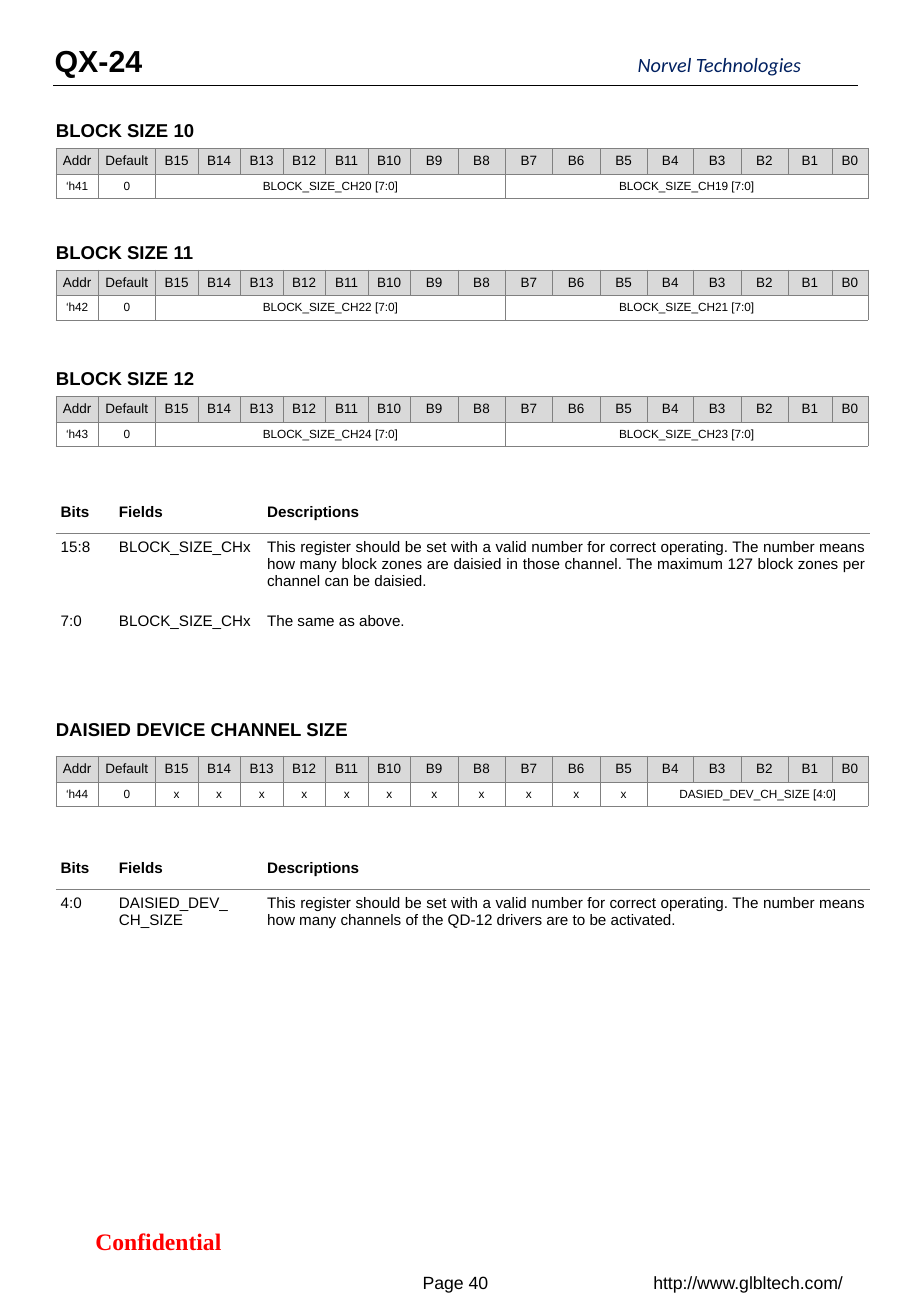
from lxml import etree
from pptx import Presentation
from pptx.dml.color import RGBColor
from pptx.enum.shapes import MSO_CONNECTOR
from pptx.enum.text import MSO_ANCHOR, MSO_AUTO_SIZE, PP_ALIGN
from pptx.oxml.ns import qn
from pptx.util import Inches, Pt

LEFT, CENTER, JUSTIFY = PP_ALIGN.LEFT, PP_ALIGN.CENTER, PP_ALIGN.JUSTIFY
TOP, MIDDLE = MSO_ANCHOR.TOP, MSO_ANCHOR.MIDDLE
GROW = MSO_AUTO_SIZE.SHAPE_TO_FIT_TEXT
STRAIGHT = MSO_CONNECTOR.STRAIGHT
SIDES = ("L", "R", "T", "B")


def color(code):
    return RGBColor.from_string(code)


def write(frame, text, size, align=LEFT, bold=False, tint="000000", face="Arial"):
    frame.text = text
    for line in frame.paragraphs:
        line.alignment = align
        font = line.font
        font.name, font.size, font.bold = face, Pt(size), bold
        font.color.rgb = color(tint)


deck = Presentation()
deck.slide_width, deck.slide_height = Inches(7.5), Inches(10.83)
slide = deck.slides.add_slide(deck.slide_layouts[6])
shapes = slide.shapes

rule = shapes.add_connector(STRAIGHT, Inches(0.44), Inches(0.7), Inches(7.06), Inches(0.7))
rule.line.color.rgb = color("000000")
rule.line.width = Pt(0.5)
etree.SubElement(rule._element.spPr, qn("a:effectLst"))

footers = [
    (3.28, 10.38, 0.94, "Page 40", 10.5, False, "000000", "Arial"),
    (5.22, 10.38, 1.88, "http://www.glbltech.com/", 10.5, False, "000000", "Arial"),
    (0.34, 10.04, 1.93, "Confidential", 14, True, "FF0000", "Times New Roman"),
]
for left, top, width, text, size, bold, tint, face in footers:
    box = shapes.add_textbox(Inches(left), Inches(top), Inches(width), Inches(0.34))
    frame = box.text_frame
    frame.word_wrap = True
    frame.vertical_anchor = MIDDLE
    write(frame, text, size, CENTER, bold, tint, face)

titles = [
    (5.25, 0.43, 1.6, 0.2, 0, 0, "Norvel Technologies", 12, "002060", "Calibri"),
    (0.45, 0.3, 0.74, 0.4, 0.05, 0, "QX-24", 18, "000000", "Arial"),
    (0.46, 0.93, 1.25, 0.29, 0.05, 0.1, "BLOCK SIZE 10", 11, "000000", "Arial"),
    (0.46, 1.93, 1.25, 0.29, 0.05, 0.1, "BLOCK SIZE 11", 11, "000000", "Arial"),
    (0.46, 2.97, 1.25, 0.29, 0.05, 0.1, "BLOCK SIZE 12", 11, "000000", "Arial"),
    (0.46, 5.86, 2.53, 0.29, 0.05, 0.1, "DAISIED DEVICE CHANNEL SIZE", 11, "000000", "Arial"),
]
for left, top, width, height, pad, right, text, size, tint, face in titles:
    box = shapes.add_textbox(Inches(left), Inches(top), Inches(width), Inches(height))
    frame = box.text_frame
    frame.word_wrap = False
    frame.auto_size = GROW
    frame.margin_left, frame.margin_right = 0, Inches(right)
    frame.margin_top = frame.margin_bottom = Inches(pad)
    maker = face == "Calibri"
    write(frame, text, size, LEFT, not maker, tint, face)
    if maker:
        frame.paragraphs[0].font.italic = True

bits = [0.35] * 6 + [0.39] * 5 + [0.38, 0.39, 0.39, 0.36, 0.3]
head = ["Addr", "Default"] + [f"B{n}" for n in range(15, -1, -1)]
heads = ["Bits", "Fields", "Descriptions"]
intro = "This register should be set with a valid number for correct operating. The number means how many "
zones = intro + ("block zones are daisied in those channel. "
                 "The maximum 127 block zones per channel can be daisied.")
drivers = intro + "channels of the QD-12 drivers are to be activated."

maps = []
for step, top in enumerate([1.22, 2.22, 3.26]):
    high = 20 + 2 * step
    fields = [(f"BLOCK_SIZE_CH{n} [7:0]", 8) for n in (high, high - 1)]
    maps.append((top, [(f"‘h{41 + step}", 1), ("0", 1)] + fields))
maps.append((6.22, [("‘h44", 1), ("0", 1)] + [("x", 1)] * 11 + [("DASIED_DEV_CH_SIZE [4:0]", 5)]))

tables = [(top, [0.35, 0.47] + bits, [0.21, 0.2], [[(name, 1) for name in head], row])
          for top, row in maps]
notes = [
    (4.04, [0.35, 0.61, 0.35], [["15:8", "BLOCK_SIZE_CHx", zones],
                                ["7:0", "BLOCK_SIZE_CHx", "The same as above."]]),
    (6.97, [0.35, 0.61], [["4:0", "DAISIED_DEV_\nCH_SIZE", drivers]]),
]
for top, rows, body in notes:
    tables.append((top, [0.48, 1.22, 5], rows, [[(text, 1) for text in row] for row in [heads] + body]))

for top, cols, rows, data in tables:
    grid = len(cols) == 18
    table = shapes.add_table(len(rows), len(cols), Inches(0.46), Inches(top),
                             Inches(sum(cols)), Inches(sum(rows))).table
    table.first_row = table.horz_banding = False
    for col, width in zip(table.columns, cols):
        col.width = Inches(width)
    for y, height in enumerate(rows):
        table.rows[y].height = Inches(height)
        ruled = SIDES if grid else [("B",), ("T",), ()][y]
        for cell in table.rows[y].cells:
            props = cell._tc.get_or_add_tcPr()
            for side in SIDES:
                edge = etree.SubElement(props, qn(f"a:ln{side}"), w=str(Pt(0.25 if grid else 0.5)))
                if side in ruled:
                    fill = etree.SubElement(edge, qn("a:solidFill"))
                    etree.SubElement(fill, qn("a:srgbClr"), val="808080")
                else:
                    etree.SubElement(edge, qn("a:noFill"))
            if grid and y == 0:
                cell.fill.solid()
                cell.fill.fore_color.rgb = color("D9D9D9")
            else:
                cell.fill.background()
        x = 0
        for text, span in data[y]:
            cell = table.cell(y, x)
            if span > 1:
                cell.merge(table.cell(y, x + span - 1))
            pad = Inches(0 if text == "B0" else 0.04)
            cell.margin_left = cell.margin_right = cell.margin_top = cell.margin_bottom = pad
            cell.vertical_anchor = MIDDLE if grid or y == 0 else TOP
            if grid:
                write(cell.text_frame, text, 7 if y else 8, CENTER)
            else:
                write(cell.text_frame, text, 9, JUSTIFY if y and x == 2 else LEFT, y == 0)
            x += span

deck.save("out.pptx")
